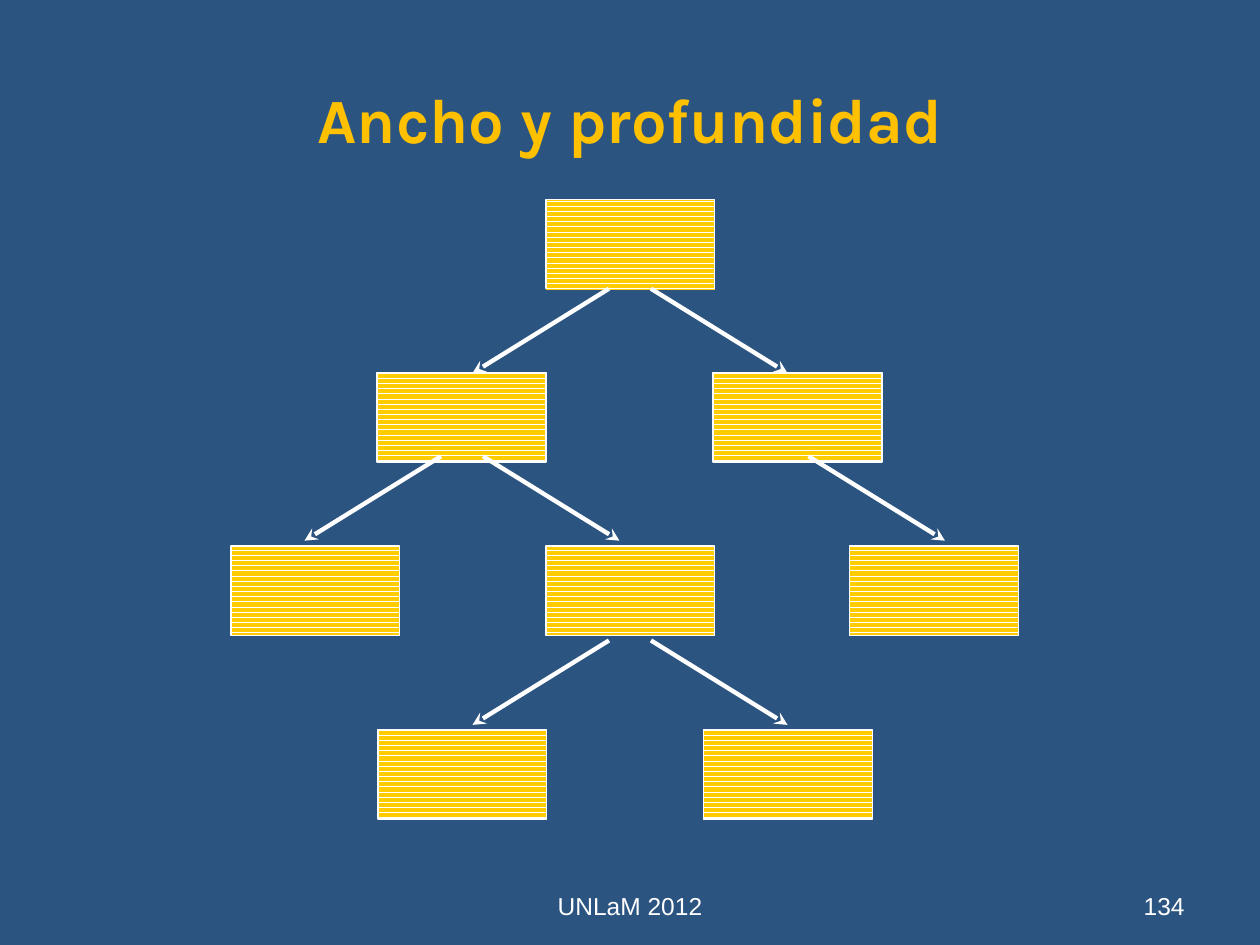
from lxml import etree
from pptx import Presentation
from pptx.dml.color import RGBColor
from pptx.enum import dml, shapes, text
from pptx.oxml import ns
from pptx.util import Pt

COLORS = {
    "background": "2B5481",
    "title": "FFC000",
    "node": "FFCC00",
    "white": "FFFFFF",
}
NODE_WIDTH, NODE_HEIGHT = 96.5, 51
TREE_LEVELS = [
    (114, [312]),
    (213, [215.5, 407.5]),
    (312, [132, 312, 485.5]),
    (417, [216, 402]),
]
BRANCH_RUN, BRANCH_DROP = 78, 48.25
BRANCH_LEVELS = [
    (165, [(348, -1), (372, 1)]),
    (260.75, [(252, -1), (276, 1), (462, 1)]),
    (366, [(348, -1), (372, 1)]),
]


def color(name):
    return RGBColor.from_string(COLORS[name])


def add_label(slide, box, wording, size, font_name, color_name, align, anchor, bold=False):
    label = slide.shapes.add_textbox(*map(Pt, box))
    frame = label.text_frame
    frame.word_wrap = True
    frame.vertical_anchor = anchor
    paragraph = frame.paragraphs[0]
    paragraph.alignment = align
    run = paragraph.add_run()
    run.text = wording
    run.font.size = Pt(size)
    run.font.name = font_name
    run.font.bold = bold
    run.font.color.rgb = color(color_name)


def add_node(slide, left, top):
    node = slide.shapes.add_shape(
        shapes.MSO_SHAPE.RECTANGLE, Pt(left), Pt(top), Pt(NODE_WIDTH), Pt(NODE_HEIGHT)
    )
    node.shadow.inherit = False
    node.fill.patterned()
    node.fill.pattern = dml.MSO_PATTERN.DARK_HORIZONTAL
    node.fill.fore_color.rgb = color("node")
    node.fill.back_color.rgb = color("white")
    node.line.color.rgb = color("white")
    node.line.width = Pt(0.75)


def add_branch(slide, left, top, direction):
    branch = slide.shapes.add_connector(
        shapes.MSO_CONNECTOR.STRAIGHT,
        Pt(left), Pt(top), Pt(left + direction * BRANCH_RUN), Pt(top + BRANCH_DROP),
    )
    branch.line.color.rgb = color("white")
    branch.line.width = Pt(2.5)
    etree.SubElement(branch.line._get_or_add_ln(), ns.qn("a:tailEnd"), type="stealth")
    etree.SubElement(branch._element.spPr, ns.qn("a:effectLst"))


def main():
    deck = Presentation()
    deck.slide_width, deck.slide_height = Pt(720), Pt(540)
    slide = deck.slides.add_slide(deck.slide_layouts[6])
    slide.background.fill.solid()
    slide.background.fill.fore_color.rgb = color("background")

    center, right = text.PP_ALIGN.CENTER, text.PP_ALIGN.RIGHT
    middle, bottom = text.MSO_ANCHOR.MIDDLE, text.MSO_ANCHOR.BOTTOM
    add_label(slide, (36, 30, 648, 75.5), "Ancho y profundidad",
              36, "Karla", "title", center, middle, bold=True)

    for top, lefts in TREE_LEVELS:
        for left in lefts:
            add_node(slide, left, top)
    for top, branches in BRANCH_LEVELS:
        for left, direction in branches:
            add_branch(slide, left, top, direction)

    add_label(slide, (516, 492, 168, 37.5), "134", 14, "Arial", "white", right, bottom)
    add_label(slide, (246, 492, 228, 37.5), "UNLaM 2012", 14, "Arial", "white", center, bottom)
    deck.save("out.pptx")


if __name__ == "__main__":
    main()
